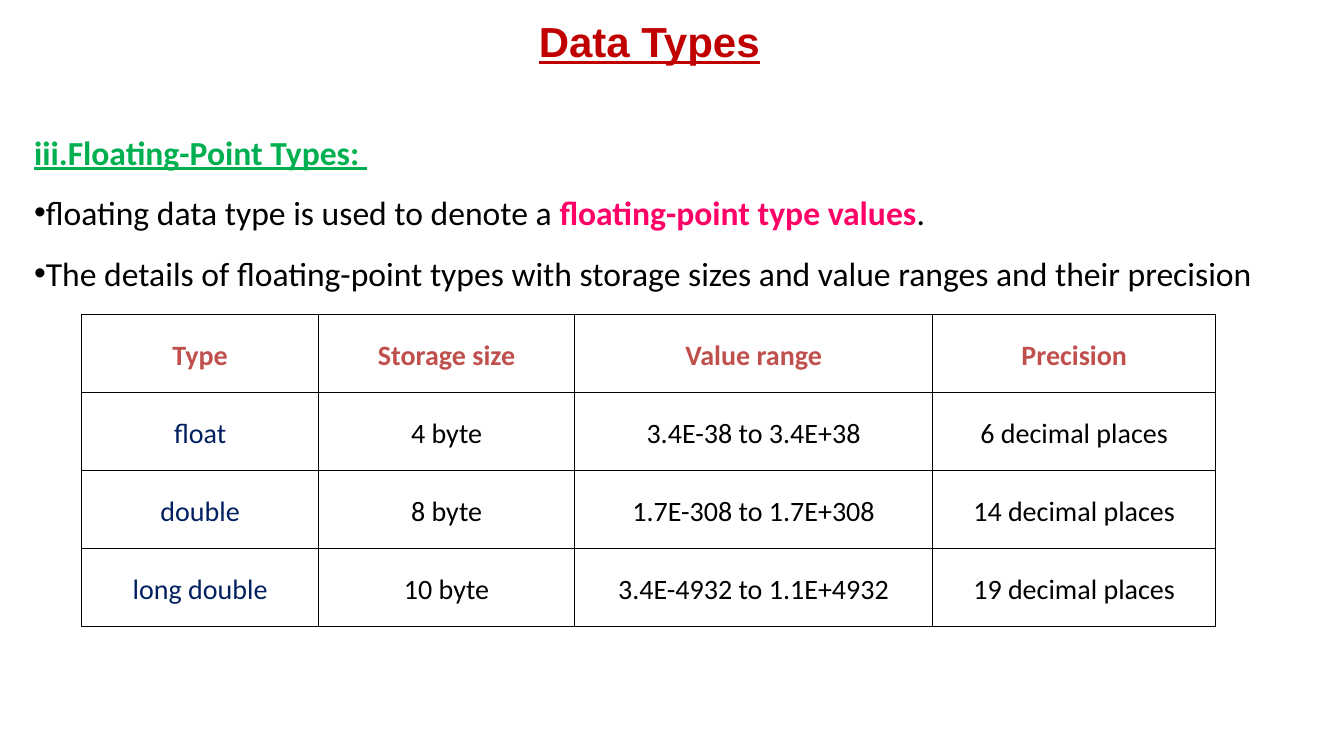
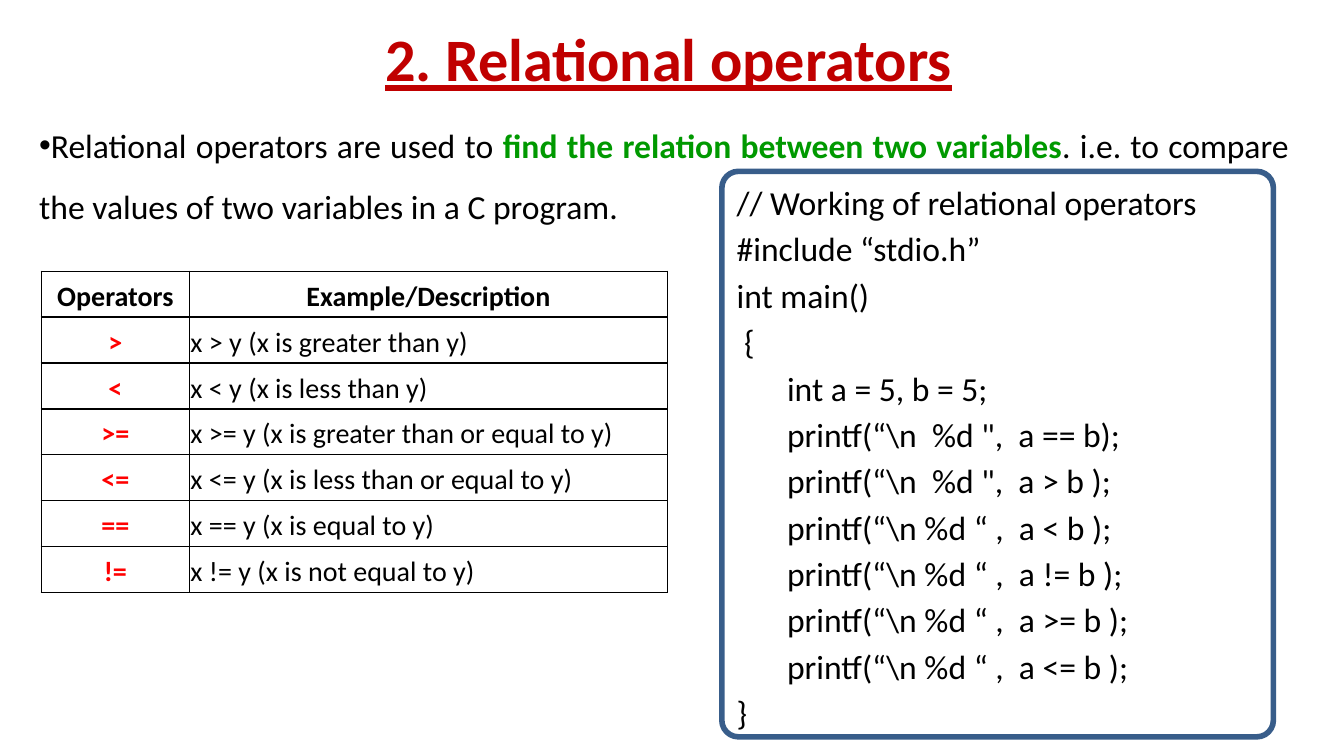
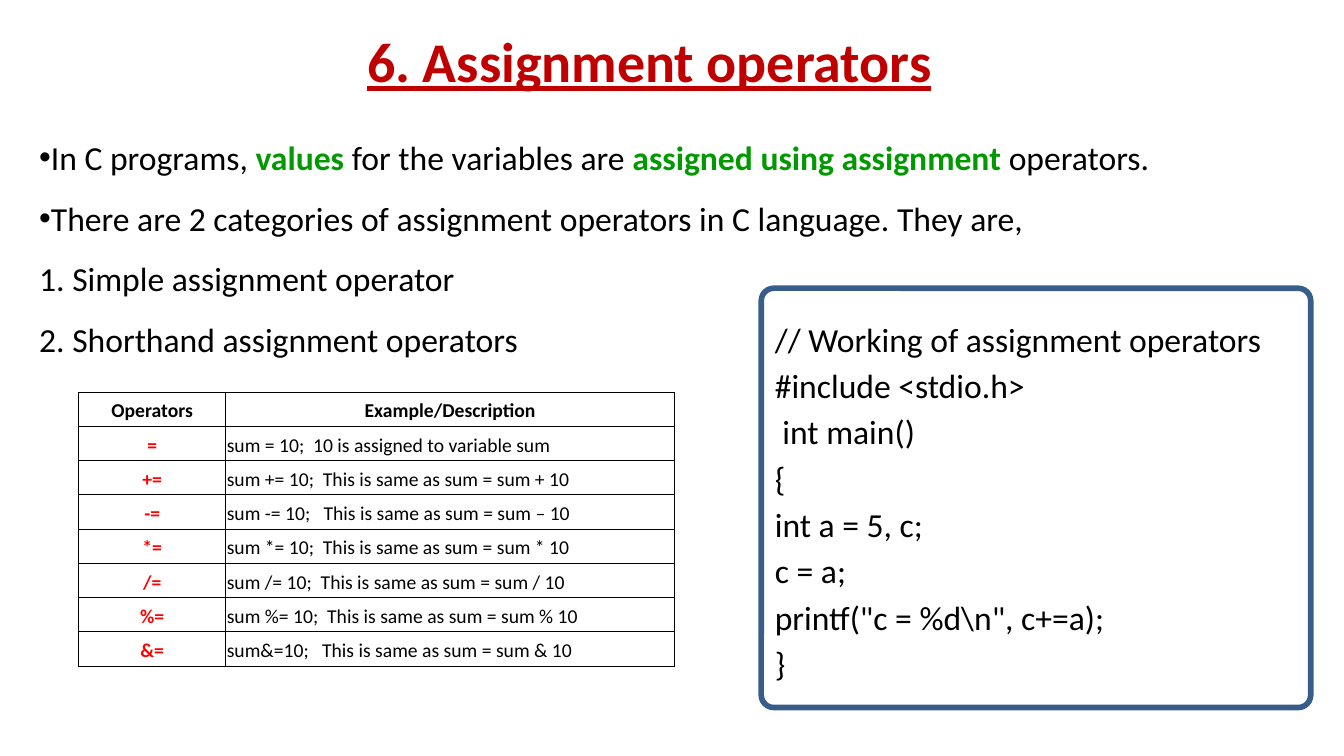
from dataclasses import dataclass

from lxml import etree
from pptx import Presentation
from pptx import util as u
from pptx.dml.color import RGBColor
from pptx.enum import shapes, text
from pptx.oxml import ns

PX = 9144  # EMU in one px, 100 px to the inch
Align = text.PP_ALIGN


@dataclass(frozen=True)
class Theme:
    font: str = "Calibri"
    red: str = "C00000"
    green: str = "00B050"
    pink: str = "FF0066"
    leaf: str = "009900"
    rust: str = "C0504D"
    navy: str = "002060"
    operator: str = "FF0000"
    black: str = "000000"
    frame: str = "385D8A"
    body_size: int = 24
    body_spacing: float = 1.5
    code_spacing: float = 1.15
    hanging: int = 17
    code_indent: int = 50
    frame_width: int = 4
    rule_width: int = 1


T = Theme()


@dataclass(frozen=True)
class Box:
    x: int
    y: int
    w: int
    h: int

    def emu(self) -> list[u.Emu]:
        return [px(n) for n in (self.x, self.y, self.w, self.h)]


@dataclass(frozen=True)
class Run:
    text: str
    color: str = T.black
    bold: bool = False


@dataclass(frozen=True)
class Para:
    runs: tuple[Run, ...]
    size: int = T.body_size
    font: str = T.font
    align: Align = Align.LEFT
    spacing: float = T.body_spacing
    underline: bool = False
    bullet: bool = False
    indent: int = 0


@dataclass(frozen=True)
class Grid:
    box: Box
    cols: tuple[int, ...]
    size: int
    margins: tuple[int, int]  # sides, top and bottom
    head_color: str
    key_color: str
    key_bold: bool
    value_align: Align
    rows: tuple[tuple[str, ...], ...]


def px(n: float) -> u.Emu:
    return u.Emu(round(n * PX))


def add_xml(parent: etree._Element, tag: str, **attrs: str) -> etree._Element:
    return etree.SubElement(parent, ns.qn(tag), attrs)


def write(tf: text, paras: list[Para]) -> None:
    """Fill a text frame, one paragraph for each item."""
    tf.word_wrap = True
    tf.vertical_anchor = text.MSO_ANCHOR.MIDDLE
    for i, para in enumerate(paras):
        p = tf.add_paragraph() if i else tf.paragraphs[0]
        pPr = p._p.get_or_add_pPr()
        if para.bullet:
            pPr.set("marL", "0")
            pPr.set("indent", str(-px(T.hanging)))
            add_xml(pPr, "a:buFont", typeface="Arial")
            add_xml(pPr, "a:buChar", char="•")
        elif para.indent:
            pPr.set("marL", str(px(para.indent)))
        p.alignment = para.align
        p.line_spacing = para.spacing
        p.font.name = para.font
        p.font.size = u.Pt(para.size)
        for run in para.runs:
            r = p.add_run()
            r.text = run.text
            r.font.bold = run.bold
            r.font.underline = para.underline
            r.font.color.rgb = RGBColor.from_string(run.color)


def add_text(s, box: Box, paras: list[Para]) -> None:
    write(s.shapes.add_textbox(*box.emu()).text_frame, paras)


def add_title(s, title: str, box: Box, size: int, spacing: float,
              font: str = T.font) -> None:
    add_text(s, box, [Para((Run(title, T.red, True),), size, font,
                           Align.CENTER, spacing, underline=True)])


def add_code(s, box: Box, lines: list[str], radius: float) -> None:
    """Draw a framed listing; a leading tab marks an indented line."""
    sp = s.shapes.add_shape(shapes.MSO_SHAPE.ROUNDED_RECTANGLE, *box.emu())
    sp.adjustments[0] = radius
    sp.shadow.inherit = False
    sp.fill.background()
    sp.line.color.rgb = RGBColor.from_string(T.frame)
    sp.line.width = u.Pt(T.frame_width)
    write(sp.text_frame,
          [Para((Run(line.lstrip("\t")),), spacing=T.code_spacing,
                indent=T.code_indent if line.startswith("\t") else 0)
           for line in lines])


def add_borders(cell) -> None:
    tcPr = cell._tc.get_or_add_tcPr()
    for i, side in enumerate(("a:lnL", "a:lnR", "a:lnT", "a:lnB")):
        ln = add_xml(tcPr, side, w=str(u.Pt(T.rule_width)))
        add_xml(add_xml(ln, "a:solidFill"), "a:srgbClr", val=T.black)
        tcPr.insert(i, ln)


def add_grid(s, grid: Grid) -> None:
    """Draw a ruled table with a header row and a key column."""
    count = len(grid.rows)
    table = s.shapes.add_table(count, len(grid.cols), *grid.box.emu()).table
    table.first_row = table.horz_banding = False
    for col, width in zip(table.columns, grid.cols):
        col.width = px(width)
    for row in table.rows:
        row.height = px(grid.box.h / count)
    side, edge = (px(n) for n in grid.margins)
    for i, values in enumerate(grid.rows):
        for j, value in enumerate(values):
            cell = table.cell(i, j)
            cell.margin_left = cell.margin_right = side
            cell.margin_top = cell.margin_bottom = edge
            cell.vertical_anchor = text.MSO_ANCHOR.MIDDLE
            cell.fill.background()
            add_borders(cell)
            align = Align.CENTER
            if i == 0:
                run = Run(value, grid.head_color, True)
            elif j == 0:
                run = Run(value, grid.key_color, grid.key_bold)
            else:
                run, align = Run(value), grid.value_align
            para = Para((run,), grid.size, align=align, spacing=T.code_spacing)
            write_cell(cell, para)


def write_cell(cell, para: Para) -> None:
    anchor = cell.vertical_anchor
    write(cell.text_frame, [para])
    cell.vertical_anchor = anchor


def operator_grid(box: Box, cols: tuple[int, int], size: int,
                  rows: tuple[tuple[str, str], ...]) -> Grid:
    return Grid(box, cols, size, (1, 1), T.black, T.operator, True, Align.LEFT,
                (("Operators", "Example/Description"), *rows))


def data_types(s) -> None:
    add_text(s, Box(24, 104, 1259, 193), [
        Para((Run("iii.Floating-Point Types: ", T.green, True),),
             align=Align.JUSTIFY, underline=True),
        Para((Run("floating data type is used to denote a "),
              Run("floating-point type values", T.pink, True), Run(".")),
             align=Align.JUSTIFY, bullet=True),
        Para((Run("The details of floating-point types with storage sizes "
                  "and value ranges and their precision"),),
             align=Align.JUSTIFY, bullet=True),
    ])
    add_title(s, "Data Types", Box(44, 20, 1200, 51), 30, 0.8, "Arial")
    add_grid(s, Grid(
        Box(81, 312, 1125, 310), (235, 254, 355, 281), 20, (7, 0),
        T.rust, T.navy, False, Align.CENTER, (
            ("Type", "Storage size", "Value range", "Precision"),
            ("float", "4 byte", "3.4E-38 to 3.4E+38", "6 decimal places"),
            ("double", "8 byte", "1.7E-308 to 1.7E+308", "14 decimal places"),
            ("long double", "10 byte", "3.4E-4932 to 1.1E+4932",
             "19 decimal places"),
        )))


def relational_operators(s) -> None:
    add_text(s, Box(29, 98, 1259, 132), [
        Para((Run("Relational operators are used to "),
              Run("find the relation between two variables", T.leaf, True),
              Run(". i.e. to compare the values of two variables "
                  "in a C program.")),
             align=Align.JUSTIFY, bullet=True),
    ])
    meanings = ((">", "greater than"), ("<", "less than"),
                (">=", "greater than or equal to"),
                ("<=", "less than or equal to"),
                ("==", "equal to"), ("!=", "not equal to"))
    add_grid(s, operator_grid(
        Box(41, 269, 621, 319), (147, 474), 20,
        tuple((op, f"x {op} y (x is {words} y)") for op, words in meanings)))
    add_title(s, "2. Relational operators", Box(63, 22, 1200, 80), 43, 0.9)
    add_code(s, Box(716, 170, 547, 561), [
        "// Working of relational operators",
        "#include “stdio.h”",
        "int main()",
        " {",
        "\tint a = 5, b = 5;",
        "\tprintf(“\\n  %d \",  a == b);",
        "\tprintf(“\\n  %d \",  a > b );",
        *(f"\tprintf(“\\n %d “ ,  a {op} b );" for op in ("<", "!=", ">=", "<=")),
        "}",
    ], 0.03)


def assignment_operators(s) -> None:
    add_text(s, Box(29, 109, 1259, 254), [
        Para((Run("In C programs, "), Run("values", T.leaf, True),
              Run(" for the variables are "),
              Run("assigned using assignment ", T.leaf, True),
              Run("operators.")), bullet=True),
        Para((Run("There are 2 categories of assignment operators "
                  "in C language. They are,"),), bullet=True),
        Para((Run("1. Simple assignment operator"),)),
        Para((Run("2. Shorthand assignment operators"),)),
    ])
    add_title(s, "6. Assignment operators", Box(44, 20, 1200, 80), 40, 1.0)
    add_grid(s, operator_grid(Box(78, 389, 591, 272), (146, 445), 14, (
        ("=", "sum = 10;  10 is assigned to variable sum"),
        ("+=", "sum += 10;  This is same as sum = sum + 10"),
        ("-=", "sum -= 10;   This is same as sum = sum – 10"),
        ("*=", "sum *= 10;  This is same as sum = sum * 10"),
        ("/=", "sum /= 10;  This is same as sum = sum / 10"),
        ("%=", "sum %= 10;  This is same as sum = sum % 10"),
        ("&=", "sum&=10;   This is same as sum = sum & 10"),
    )))
    add_code(s, Box(755, 286, 545, 416), [
        "// Working of assignment operators",
        "#include <stdio.h>",
        " int main()",
        "{",
        "int a = 5, c;",
        "c = a;",
        "printf(\"c = %d\\n\", c+=a);",
        "}",
    ], 0.03)


def main() -> None:
    prs = Presentation()
    prs.slide_width, prs.slide_height = px(1333), px(750)
    blank = prs.slide_layouts[6]
    for build in (data_types, relational_operators, assignment_operators):
        build(prs.slides.add_slide(blank))
    prs.save("out.pptx")


if __name__ == "__main__":
    main()
